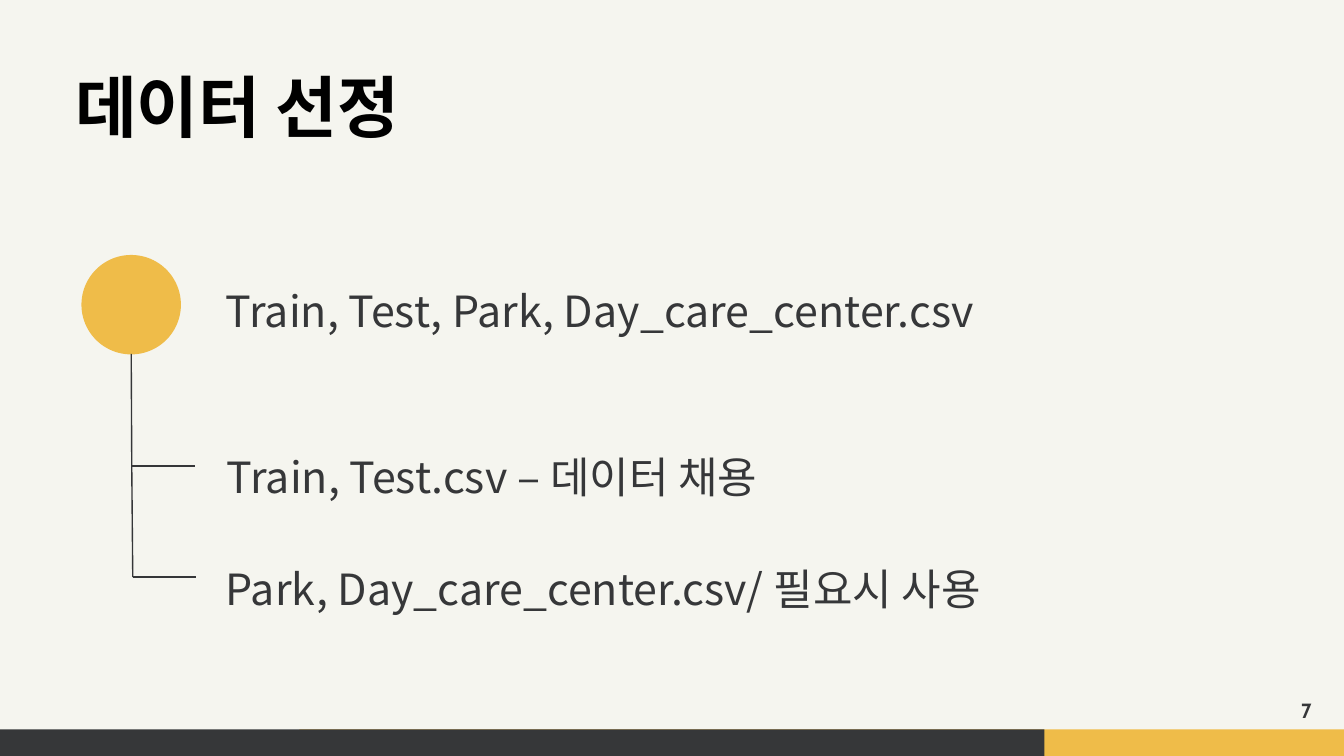
"""Build the data selection slide."""
from dataclasses import dataclass

import pptx
import pptx.dml.color
import pptx.enum.shapes
import pptx.enum.text
import pptx.oxml
import pptx.oxml.ns
import pptx.shapes.base
import pptx.slide
import pptx.text.text
import pptx.util

Cm = pptx.util.Cm
RGB = pptx.dml.color.RGBColor
Kind = pptx.enum.shapes.MSO_SHAPE
Align = pptx.enum.text.PP_ALIGN
Anchor = pptx.enum.text.MSO_ANCHOR
Fit = pptx.enum.text.MSO_AUTO_SIZE

PAPER = RGB(0xF5, 0xF5, 0xEF)
GOLD = RGB(0xEF, 0xBC, 0x49)
DARK = RGB(0x36, 0x37, 0x39)
RULE = RGB(0x35, 0x36, 0x38)
BLACK = RGB(0, 0, 0)
SANS = "Noto Sans CJK KR"


@dataclass(frozen=True)
class Box:
    left: float
    top: float
    width: float
    height: float

    def cm(self) -> tuple[Cm, Cm, Cm, Cm]:
        return Cm(self.left), Cm(self.top), Cm(self.width), Cm(self.height)


@dataclass(frozen=True)
class Style:
    size: float
    color: RGB
    font: str = SANS
    bold: bool = False
    align: Align = Align.LEFT
    anchor: Anchor = Anchor.TOP
    space: float = 1.0
    fit: Fit = Fit.NONE


@dataclass(frozen=True)
class Item:
    left: float
    top: float
    text: str


@dataclass(frozen=True)
class Line:
    x1: float
    y1: float
    x2: float
    y2: float


HEAD = Style(36, BLACK, bold=True)
BODY = Style(23, DARK, space=1.4, fit=Fit.SHAPE_TO_FIT_TEXT)
PAGE = Style(11, DARK, "Cabin", True, Align.RIGHT, Anchor.MIDDLE)

ITEMS = [
    Item(4.27, 5.0, "Train, Test, Park, Day_care_center.csv"),
    Item(4.29, 8.13, "Train, Test.csv – 데이터 채용"),
    Item(4.27, 10.24, "Park, Day_care_center.csv/ 필요시 사용"),
]
LINES = [
    Line(2.48, 6.69, 2.49, 8.81),
    Line(2.49, 8.81, 3.68, 8.81),
    Line(2.49, 8.81, 2.51, 10.91),
    Line(2.51, 10.91, 3.7, 10.91),
]


def write(frame: pptx.text.text.TextFrame, text: str, style: Style) -> None:
    frame.word_wrap = True
    frame.auto_size = style.fit
    frame.vertical_anchor = style.anchor
    frame.margin_left = frame.margin_right = 0
    frame.margin_top = frame.margin_bottom = 0
    para = frame.paragraphs[0]
    para.alignment = style.align
    para.line_spacing = style.space
    run = para.add_run()
    run.text = text
    font = run.font
    font.name = style.font
    font.size = pptx.util.Pt(style.size)
    font.bold = style.bold
    font.color.rgb = style.color
    east = pptx.oxml.ns.qn("a:ea")
    run._r.get_or_add_rPr().makeelement(east, {})
    latin = run._r.rPr.find(pptx.oxml.ns.qn("a:latin"))
    latin.addnext(latin.makeelement(east, {"typeface": style.font}))


def label(slide: pptx.slide.Slide, box: Box, text: str, style: Style) -> None:
    write(slide.shapes.add_textbox(*box.cm()).text_frame, text, style)


def block(slide: pptx.slide.Slide, kind: Kind, box: Box, color: RGB) -> None:
    shape = slide.shapes.add_shape(kind, *box.cm())
    shape.shadow.inherit = False
    shape.fill.solid()
    shape.fill.fore_color.rgb = color
    shape.line.fill.background()


def rule(slide: pptx.slide.Slide, line: Line) -> None:
    ends = Cm(line.x1), Cm(line.y1), Cm(line.x2), Cm(line.y2)
    link = slide.shapes.add_connector(
        pptx.enum.shapes.MSO_CONNECTOR.STRAIGHT, *ends)
    link.line.color.rgb = RULE
    link.line.width = pptx.util.Pt(0.75)
    props = link._element.spPr
    props.append(props.makeelement(pptx.oxml.ns.qn("a:effectLst"), {}))


def main() -> None:
    deck = pptx.Presentation()
    deck.slide_width, deck.slide_height = Cm(25.4), Cm(14.29)
    slide = deck.slides.add_slide(deck.slide_layouts[5])
    slide.background.fill.solid()
    slide.background.fill.fore_color.rgb = PAPER

    block(slide, Kind.RECTANGLE, Box(5.66, 13.79, 19.74, 0.5), GOLD)
    block(slide, Kind.RECTANGLE, Box(0, 13.79, 19.74, 0.5), DARK)
    label(slide, Box(23.27, 13.18, 1.52, 0.5), "7", PAGE)

    title = slide.shapes.title
    place = Box(1.42, 1.24, 6.96, 2.01).cm()
    title.left, title.top, title.width, title.height = place
    write(title.text_frame, "데이터 선정", HEAD)

    block(slide, Kind.OVAL, Box(1.54, 4.82, 1.88, 1.88), GOLD)
    for line in LINES:
        rule(slide, line)
    for item in ITEMS:
        label(slide, Box(item.left, item.top, 14.4, 1.37), item.text, BODY)
    deck.save("out.pptx")


if __name__ == "__main__":
    main()
